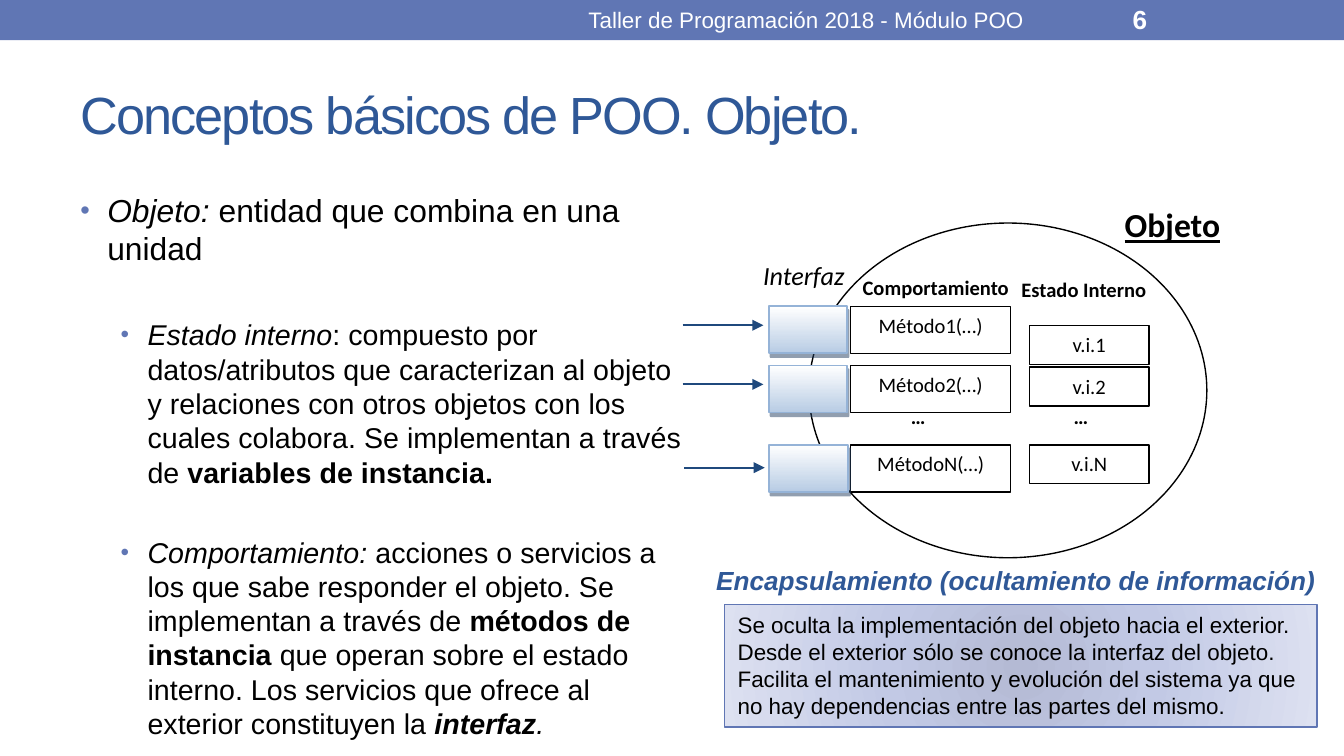
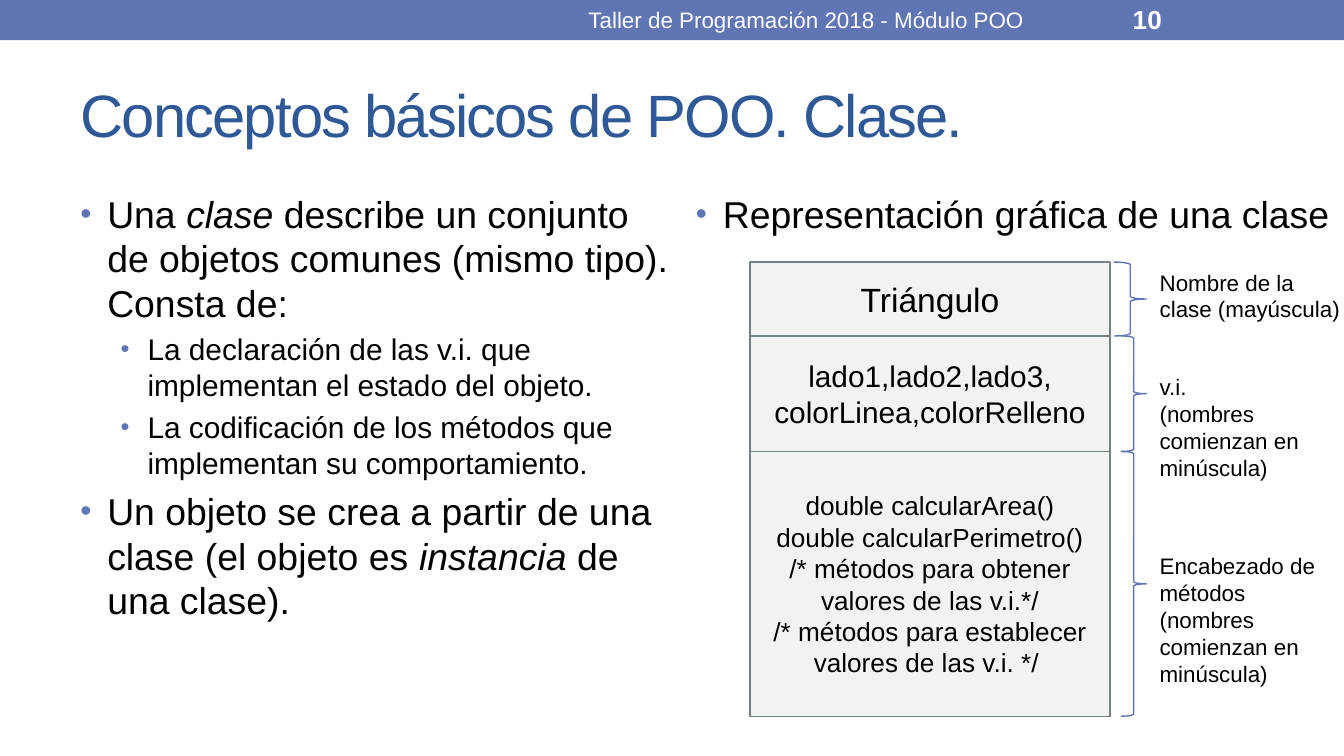
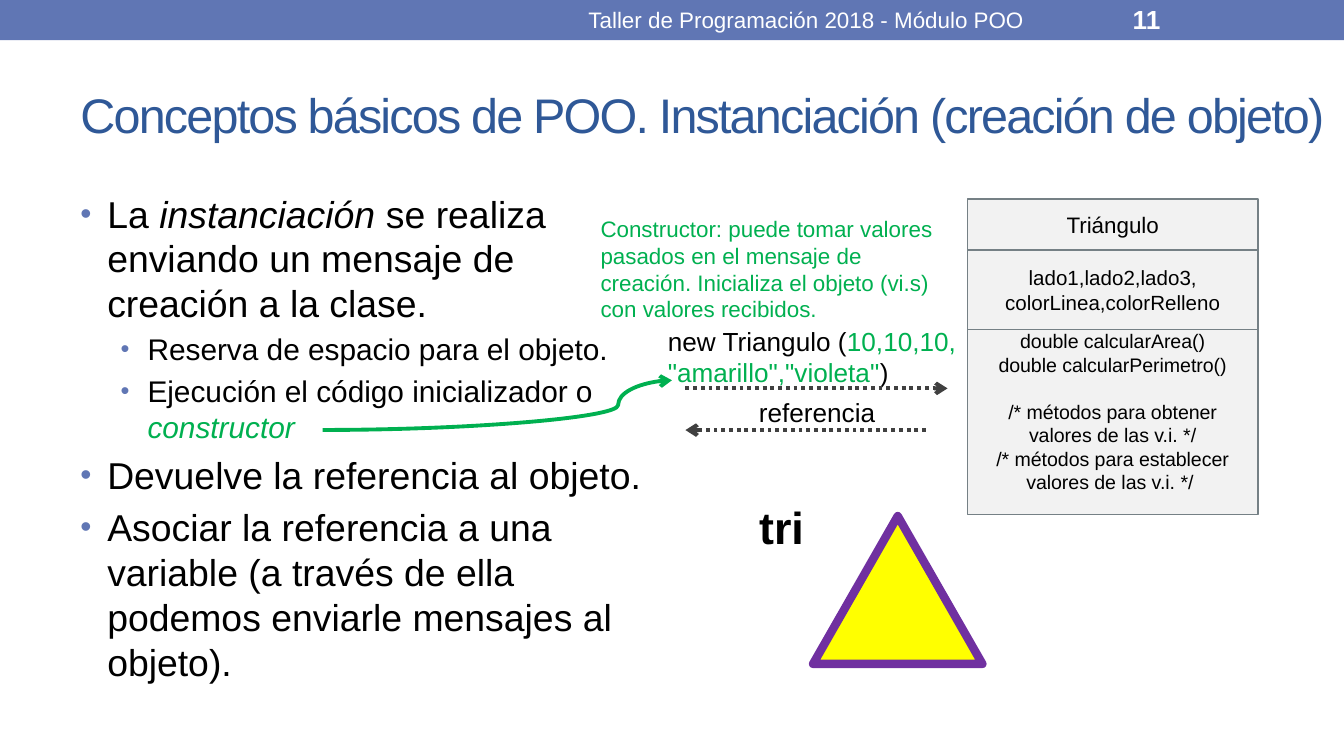
from lxml import etree
from pptx import Presentation
from pptx import util as u
from pptx.dml.color import RGBColor
from pptx.enum import dml, shapes, text
from pptx.oxml import ns

HUES = {
    "band": "6076B4", "title": "2F5897", "ink": "000000", "white": "FFFFFF",
    "green": "00B050", "cell": "F2F2F2", "edge": "758085", "arrow": "1F497D",
    "port": "B8CCE4", "rim": "95B3D7", "shade": "243F60", "dots": "404040",
    "core": "B4BAD4", "mid": "C2C9E5", "rind": "DDE1F1",
    "yellow": "FFFF00", "purple": "7030A0",
}
FORM = shapes.MSO_SHAPE
LINK = shapes.MSO_CONNECTOR
MID = text.MSO_ANCHOR.MIDDLE
TOP = text.MSO_ANCHOR.TOP
CENTER = text.PP_ALIGN.CENTER
LEFT = text.PP_ALIGN.LEFT


def rgb(hue):
    """Return the named colour."""
    return RGBColor.from_string(HUES[hue])


def node(parent, tag, **attrs):
    """Append a drawing element and return it."""
    return etree.SubElement(parent, ns.qn("a:" + tag), attrs)


def write(frame, paras, size, hue="ink", face="Arial", align=LEFT, marks=""):
    """Fill a frame; a paragraph is a string or a list of (text, marks)."""
    frame.word_wrap = True
    for i, para in enumerate(paras):
        p = frame.paragraphs[0] if i == 0 else frame.add_paragraph()
        p.alignment = align
        for words, extra in [(para, "")] if isinstance(para, str) else para:
            run = p.add_run()
            run.text = words
            style = marks + extra
            font = run.font
            font.name, font.size = face, u.Pt(size)
            font.bold, font.italic = "b" in style, "i" in style
            font.underline = "u" in style
            font.color.rgb = rgb("green" if "g" in style else hue)


def label(slide, box, paras, size, anchor=TOP, **look):
    """Add a text box."""
    frame = slide.shapes.add_textbox(*map(u.Inches, box)).text_frame
    frame.vertical_anchor = anchor
    write(frame, paras, size, **look)
    return frame


def block(slide, form, box, fill=None, line=None, width=0.75):
    """Add a flat preset shape."""
    shape = slide.shapes.add_shape(form, *map(u.Inches, box))
    shape.shadow.inherit = False
    if fill:
        shape.fill.solid()
        shape.fill.fore_color.rgb = rgb(fill)
    else:
        shape.fill.background()
    if line:
        shape.line.color.rgb = rgb(line)
        shape.line.width = u.Pt(width)
    else:
        shape.line.fill.background()
    return shape


def blend(shape, stops, round=False):
    """Give a shape a gradient, downward or from its middle."""
    props = shape._element.spPr
    old = props.find(ns.qn("a:noFill"))
    grad = etree.Element(ns.qn("a:gradFill"), rotWithShape="1")
    props.replace(old, grad)
    chain = node(grad, "gsLst")
    for pos, hue in stops:
        stop = node(chain, "gs", pos=str(pos * 1000))
        node(stop, "srgbClr", val=HUES[hue])
    if round:
        way = node(grad, "path", path="circle")
        node(way, "fillToRect", **dict.fromkeys("ltrb", "100000"))
    else:
        node(grad, "lin", ang="5400000", scaled="0")


def arrow(slide, ends, hue, width, head, dash=None, bend=None):
    """Add a straight or curved arrow."""
    kind = LINK.CURVE if bend else LINK.STRAIGHT
    link = slide.shapes.add_connector(kind, *map(u.Inches, ends))
    link.line.color.rgb = rgb(hue)
    link.line.width = u.Pt(width)
    if dash:
        link.line.dash_style = dash
    props = link._element.spPr
    node(props.find(ns.qn("a:ln")), "tailEnd", type=head)
    node(props, "effectLst")
    if bend:
        geom = props.find(ns.qn("a:prstGeom"))
        for old in list(geom):
            geom.remove(old)
        node(node(geom, "avLst"), "gd", name="adj1", fmla=f"val {bend}")


def base(deck, num, title, size, wide=9):
    """Start a slide with its band, footer, number and title."""
    slide = deck.slides.add_slide(deck.slide_layouts[6])
    block(slide, FORM.RECTANGLE, (0, 0, 10, 0.3), "band")
    frame = label(slide, (0.5, 0.44, wide, 0.81), [title], size, MID, hue="title")
    frame.paragraphs[0].runs[0].font._element.set("spc", "-100")
    label(slide, (3.75, 0.01, 4.5, 0.27), ["Taller de Programación 2018 - Módulo POO"],
          12, MID, hue="white", align=CENTER)
    label(slide, (8.33, 0.01, 1.17, 0.27), [str(num)], 14, MID, hue="white", marks="b")
    return slide


def points(slide, box, items, sizes=(20, 16)):
    """Add a bulleted list of (level, runs, optional space before)."""
    frame = label(slide, box, [item[1] for item in items], sizes[0])
    for p, (level, _, *gap) in zip(frame.paragraphs, items):
        size = sizes[level]
        p.level = level
        p.space_before = u.Pt(gap[0] if gap else 0.2 * size)
        for run in p.runs:
            run.font.size = u.Pt(size)
        props = p._p.get_or_add_pPr()
        props.set("marL", str(u.Inches((0.2, 0.5)[level])))
        props.set("indent", str(u.Inches(-0.2)))
        node(node(props, "buClr"), "srgbClr", val=HUES["band"])
        node(props, "buSzPct", val="85000")
        node(props, "buFont", typeface="Arial")
        node(props, "buChar", char="•")


def port(slide, box):
    """Add a shaded interface port."""
    shape = block(slide, FORM.RECTANGLE, box, None, "rim", 1)
    blend(shape, [(0, "white"), (100, "port")])
    glow = node(shape._element.spPr.find(ns.qn("a:effectLst")), "outerShdw",
                blurRad="0", dist=str(u.Pt(2.2)), dir=str(63 * 60000),
                algn="ctr", rotWithShape="0")
    node(node(glow, "srgbClr", val=HUES["shade"]), "alpha", val="50000")


def entity(slide, x, y):
    """Draw the object with its interface, methods and state."""
    def name(dx, dy, w, h, words, size=11, marks="b", align=LEFT):
        """Place a label."""
        label(slide, (x + dx, y + dy, w, h), [words], size,
              face="Calibri", marks=marks, align=align)

    def cell(dx, dy, w, h, words):
        """Place a member box."""
        shape = block(slide, FORM.RECTANGLE, (x + dx, y + dy, w, h), "white", "ink")
        shape.text_frame.vertical_anchor = TOP
        write(shape.text_frame, [words], 11, face="Calibri", align=CENTER)

    block(slide, FORM.OVAL, (x + 1.02, y + 0.26, 2.96, 2.49), "white", "ink")
    for key, dy, drop, push in (("1", 0.88, 0.14, 0), ("2", 1.32, 0.14, 0),
                                ("N", 1.91, 0.17, 0.01)):
        cell(1.33, dy, 1.19, 0.35, f"Método{key}(…)")
        port(slide, (x + 0.72, y + dy, 0.58 + push, 0.35))
        start, level = x + 0.08 + push, y + dy + drop
        arrow(slide, (start, level, start + 0.6, level), "arrow", 1, "triangle")
    for key, dy in (("1", 1.02), ("2", 1.33), ("N", 1.91)):
        cell(2.66, dy, 0.89, 0.29, f"v.i.{key}")
    name(1.32, 0.6, 1.43, 0.45, "Comportamiento")
    name(2.4, 0.61, 1.33, 0.3, "Estado Interno", align=CENTER)
    for dx in (1.68, 2.89):
        name(dx, 1.56, 1.27, 0.43, "…")
    name(3.27, 0.07, 0.98, 0.41, "Objeto", 18, "bu")
    name(0.58, 0.48, 0.87, 0.39, "Interfaz", 14, "i")


def hiding(slide, x, y):
    """Add the encapsulation heading and its note."""
    label(slide, (x, y, 5.12, 0.34), ["Encapsulamiento (ocultamiento de información)"],
          14, hue="title", marks="bi", align=CENTER)
    note = block(slide, FORM.RECTANGLE, (x + 0.39, y + 0.35, 4.41, 0.91), None, "band")
    blend(note, [(0, "core"), (45, "mid"), (100, "rind")], True)
    note.text_frame.vertical_anchor = TOP
    write(note.text_frame, [
        "Se oculta la implementación del objeto hacia el exterior. Desde el exterior "
        "sólo se conoce la interfaz del objeto. Facilita el mantenimiento y evolución "
        "del sistema ya que no hay dependencias entre las partes del mismo."], 12)


def card(slide, x, y, wide, rows):
    """Stack class compartments of (height, size, paragraphs)."""
    frames = []
    for high, size, paras in rows:
        shape = block(slide, FORM.RECTANGLE, (x, y, wide, high), "cell", "edge")
        shape.text_frame.vertical_anchor = MID
        write(shape.text_frame, paras, size, align=CENTER)
        frames.append(shape.text_frame)
        y += high
    return frames


def braces(slide, x, y, rows):
    """Explain compartments with (inset, height, drop, box, text)."""
    for inset, high, drop, (w, h), paras in rows:
        block(slide, FORM.RIGHT_BRACE, (x + inset, y, 0.24 - inset, high), None, "band")
        label(slide, (x + 0.24, y + drop, w, h), paras, 12)
        y += high


def message(slide, x, y):
    """Show the creation message and the returned reference."""
    dots = dml.MSO_LINE.ROUND_DOT
    label(slide, (x, y, 2.45, 0.57), [[("new Triangulo (", ""),
          ('10,10,10, "amarillo","violeta"', "g"), (")", "")]], 14)
    arrow(slide, (x + 0.23, y + 0.52, x + 2.18, y + 0.52), "dots", 2.08, "arrow", dots)
    arrow(slide, (x + 2.02, y + 0.83, x + 0.23, y + 0.83), "dots", 2.08, "arrow", dots)
    label(slide, (x + 0.56, y + 0.53, 1.3, 0.34), ["referencia"], 14, align=CENTER)
    label(slide, (x - 0.5, y - 0.82, 2.83, 0.91), [
        "Constructor: puede tomar valores pasados en el mensaje de creación. "
        "Inicializa el objeto (vi.s) con valores recibidos."], 12, hue="green")
    arrow(slide, (x - 2.47, y + 0.83, x + 0.13, y + 0.46), "green", 2.08, "arrow", bend=84600)


def figure(slide, x, y):
    """Draw the named triangle."""
    block(slide, FORM.ISOSCELES_TRIANGLE, (x + 0.5, y + 0.17, 1.26, 1.1),
          "yellow", "purple", 4.5)
    label(slide, (x, y, 0.68, 0.5), ["tri"], 24, marks="b")


def objects(deck):
    """Build the object slide."""
    slide = base(deck, 6, "Conceptos básicos de POO. Objeto.", 28)
    points(slide, (0.5, 1.37, 4.7, 4.12), [
        (0, [("Objeto: ", "i"), ("entidad que combina en una unidad", "")]),
        (1, [("Estado interno", "i"),
             (": compuesto por datos/atributos que caracterizan al objeto y relaciones "
              "con otros objetos con los cuales colabora. Se implementan a través de ", ""),
             ("variables de instancia.", "b")], 27),
        (1, [("Comportamiento: ", "i"),
             ("acciones o servicios a los que sabe responder el objeto. "
              "Se implementan a través de ", ""), ("métodos de instancia", "b"),
             (" que operan sobre el estado interno. Los servicios que ofrece "
              "al exterior constituyen la ", ""), ("interfaz", "bi"), (".", "i")], 24.5),
    ], (17, 15.3))
    entity(slide, 5, 1.4)
    hiding(slide, 5, 4.15)


def classes(deck):
    """Build the class slide."""
    slide = base(deck, 10, "Conceptos básicos de POO. Clase.", 32)
    points(slide, (0.5, 1.37, 4.66, 3.87), [
        (0, [("Una ", ""), ("clase", "i"),
             (" describe un conjunto de objetos comunes (mismo tipo). Consta de:", "")]),
        (1, "La declaración de las v.i. que implementan el estado del objeto."),
        (1, "La codificación de los métodos que implementan su comportamiento."),
        (0, [("Un objeto se crea a partir de una clase (el objeto es", ""),
             (" instancia ", "i"), ("de una clase).", "")]),
    ])
    points(slide, (5.08, 1.37, 5.03, 3.87), [(0, "Representación gráfica de una clase")])
    card(slide, 5.58, 1.95, 2.68, [
        (0.55, 18, ["Triángulo"]),
        (0.86, 16, ["lado1,lado2,lado3,", "colorLinea,colorRelleno"]),
        (1.97, 14, ["double calcularArea() double calcularPerimetro()",
                    "/* métodos para obtener valores de las v.i.*/",
                    "/* métodos para establecer valores de las v.i. */ "]),
    ])
    rule = "(nombres comienzan en minúscula)"
    braces(slide, 8.29, 1.95, [
        (0, 0.55, 0, (1.59, 0.5), ["Nombre de la clase (mayúscula)"]),
        (0.05, 0.86, 0.23, (1.36, 0.91), ["v.i.", rule]),
        (0.05, 1.97, 0.7, (1.36, 1.11), ["Encabezado de métodos", rule]),
    ])


def making(deck):
    """Build the instantiation slide."""
    slide = base(deck, 11, "Conceptos básicos de POO. Instanciación (creación de objeto)",
                 26, 9.7)
    points(slide, (0.5, 1.37, 4.5, 3.87), [
        (0, [("La ", ""), ("instanciación ", "i"),
             ("se realiza enviando un mensaje de creación a la clase.", "")]),
        (1, "Reserva de espacio para el objeto."),
        (1, [("Ejecución el código inicializador o ", ""), ("constructor", "gi")]),
        (0, "Devuelve la referencia al objeto."),
        (0, "Asociar la referencia a una variable (a través de ella podemos "
            "enviarle mensajes al objeto)."),
    ])
    frames = card(slide, 7.2, 1.48, 2.16, [
        (0.38, 12, ["Triángulo"]),
        (0.59, 11, ["lado1,lado2,lado3,", "colorLinea,colorRelleno"]),
        (1.38, 10.5, ["double calcularArea()", "double calcularPerimetro()",
                      "/* métodos para obtener valores de las v.i. */",
                      "/* métodos para establecer valores de las v.i. */ "]),
    ])
    frames[2].vertical_anchor = TOP
    frames[2].margin_top = 0
    frames[2].paragraphs[2].space_before = u.Pt(12.5)
    message(slide, 4.87, 2.37)
    figure(slide, 5.55, 3.67)


def main():
    """Build and save the deck."""
    deck = Presentation()
    deck.slide_width = u.Inches(10)
    deck.slide_height = u.Inches(10 * 9 / 16)
    for build in (objects, classes, making):
        build(deck)
    deck.save("out.pptx")


if __name__ == "__main__":
    main()
